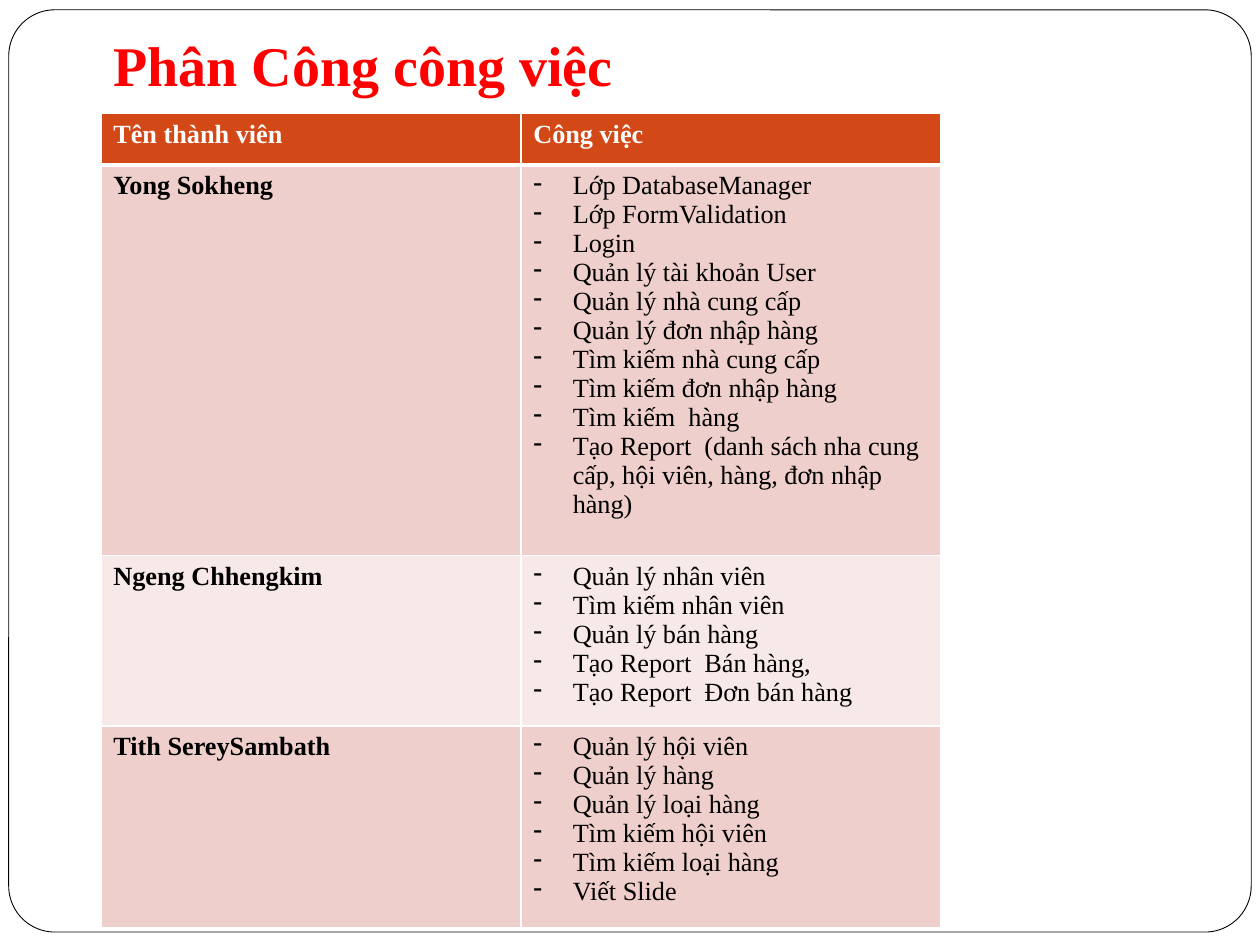
from lxml import etree
from pptx import Presentation
from pptx.dml.color import RGBColor
from pptx.enum import shapes, text
from pptx.oxml import ns
from pptx.util import Pt

FONT = "Times New Roman"
HEADER = ["Tên thành viên", "Công việc"]
MEMBERS = [
    ("Yong Sokheng", [
        "Lớp DatabaseManager",
        "Lớp FormValidation",
        "Login",
        "Quản lý tài khoản User",
        "Quản lý nhà cung cấp",
        "Quản lý đơn nhập hàng",
        "Tìm kiếm nhà cung cấp",
        "Tìm kiếm đơn nhập hàng",
        "Tìm kiếm  hàng",
        "Tạo Report  (danh sách nha cung cấp, hội viên, hàng, đơn nhập hàng)",
    ]),
    ("Ngeng Chhengkim", [
        "Quản lý nhân viên",
        "Tìm kiếm nhân viên",
        "Quản lý bán hàng",
        "Tạo Report  Bán hàng,",
        "Tạo Report  Đơn bán hàng",
    ]),
    ("Tith SereySambath", [
        "Quản lý hội viên",
        "Quản lý hàng",
        "Quản lý loại hàng",
        "Tìm kiếm hội viên",
        "Tìm kiếm loại hàng",
        "Viết Slide",
    ]),
]
ROW_HEIGHTS = [29.5, 223, 97, 115]
ROW_FILLS = ["D34817", "EFCFCC", "F7E9E8", "EFCFCC"]


def rgb(value):
    return RGBColor.from_string(value)


def write(tf, lines, size, color, bold):
    tf.text = "\n".join(lines)
    for p in tf.paragraphs:
        for r in p.runs:
            r.font.name = FONT
            r.font.size = Pt(size)
            r.font.bold = bold
            r.font.color.rgb = rgb(color)


prs = Presentation()
prs.slide_width, prs.slide_height = Pt(720), Pt(540)
s = prs.slides.add_slide(prs.slide_layouts[5])

# Title
title = s.shapes.title
title.left, title.top, title.width, title.height = Pt(57.6), Pt(13.7), Pt(617.8), Pt(46)
write(title.text_frame, ["Phân Công công việc"], 32, "FF0000", True)
title.text_frame.auto_size = text.MSO_AUTO_SIZE.SHAPE_TO_FIT_TEXT
title.text_frame.vertical_anchor = text.MSO_ANCHOR.MIDDLE
title.text_frame.paragraphs[0].alignment = text.PP_ALIGN.LEFT

# Rounded frame behind the title
frame = s.shapes.add_shape(shapes.MSO_SHAPE.ROUNDED_RECTANGLE,
                           Pt(5), Pt(5.6), Pt(710), Pt(527))
frame.adjustments[0] = 0.05
frame.shadow.inherit = False
frame.fill.solid()
frame.fill.fore_color.rgb = rgb("FFFFFF")
frame.line.color.rgb = rgb("000000")
frame.line.width = Pt(0.5)
title.element.addprevious(frame.element)

# Table of members and tasks
table = s.shapes.add_table(len(ROW_HEIGHTS), 2, Pt(57.6), Pt(64.8),
                           Pt(480), Pt(sum(ROW_HEIGHTS))).table
for row, height in zip(table.rows, ROW_HEIGHTS):
    row.height = Pt(height)
for cell, heading in zip(table.rows[0].cells, HEADER):
    write(cell.text_frame, [heading], 15, "FFFFFF", True)
for i, (name, tasks) in enumerate(MEMBERS, 1):
    write(table.cell(i, 0).text_frame, [name], 15, "000000", True)
    tf = table.cell(i, 1).text_frame
    write(tf, tasks, 15, "000000", False)
    for p in tf.paragraphs:
        pPr = p._p.get_or_add_pPr()
        pPr.set("marL", str(Pt(22.5)))
        pPr.set("indent", str(-Pt(22.5)))
        etree.SubElement(pPr, ns.qn("a:buChar")).set("char", "-")

# Cell borders and fills, with a thick rule around the header's lower edge
for i, fill in enumerate(ROW_FILLS):
    widths = {"lnL": 1, "lnR": 1, "lnT": 3 if i == 1 else 1, "lnB": 3 if i == 0 else 1}
    for cell in table.rows[i].cells:
        tcPr = cell._tc.get_or_add_tcPr()
        for side, width in widths.items():
            ln = etree.SubElement(tcPr, ns.qn(f"a:{side}"), w=str(Pt(width)))
            solid = etree.SubElement(ln, ns.qn("a:solidFill"))
            etree.SubElement(solid, ns.qn("a:srgbClr"), val="FFFFFF")
        cell.fill.solid()
        cell.fill.fore_color.rgb = rgb(fill)

prs.save("out.pptx")
